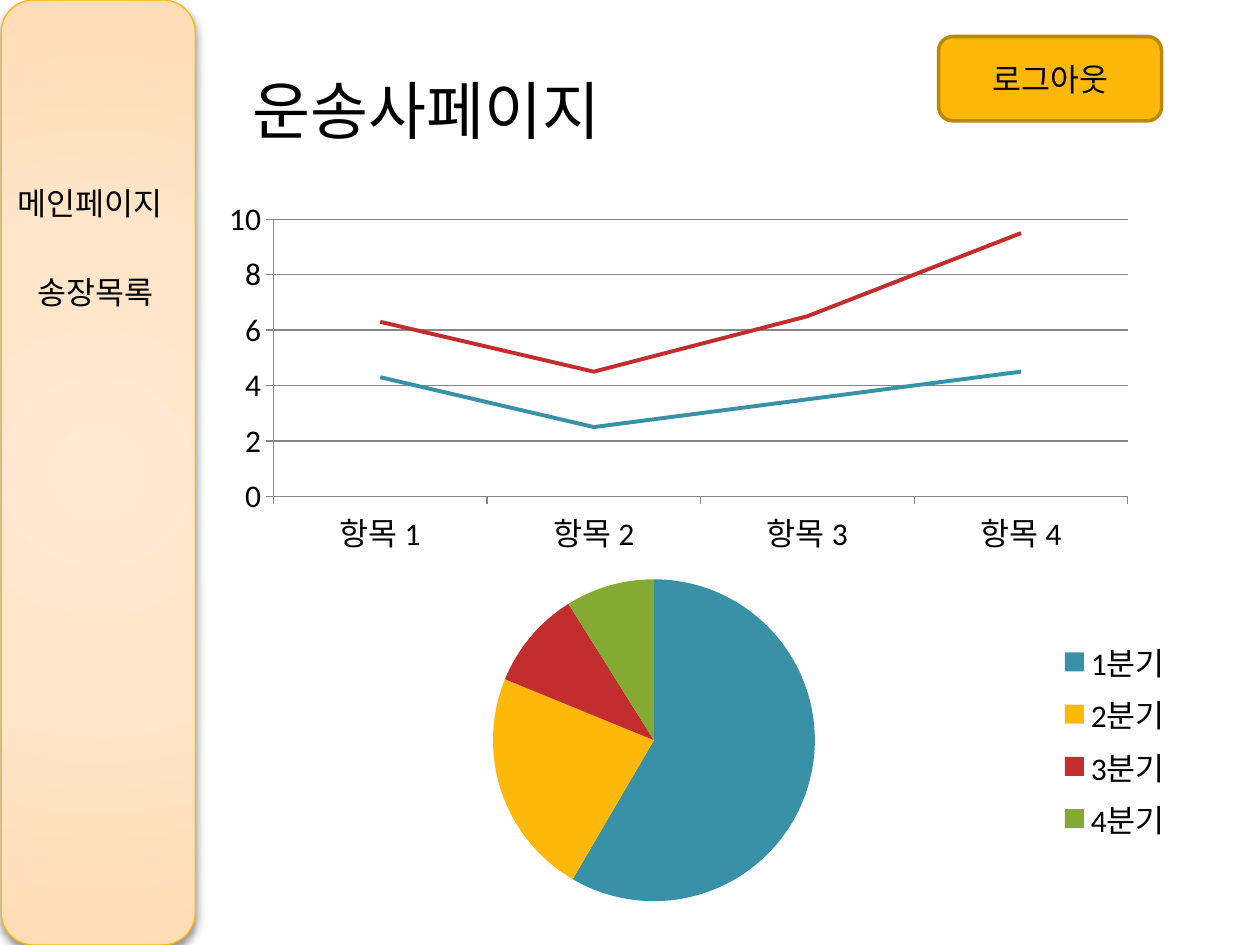
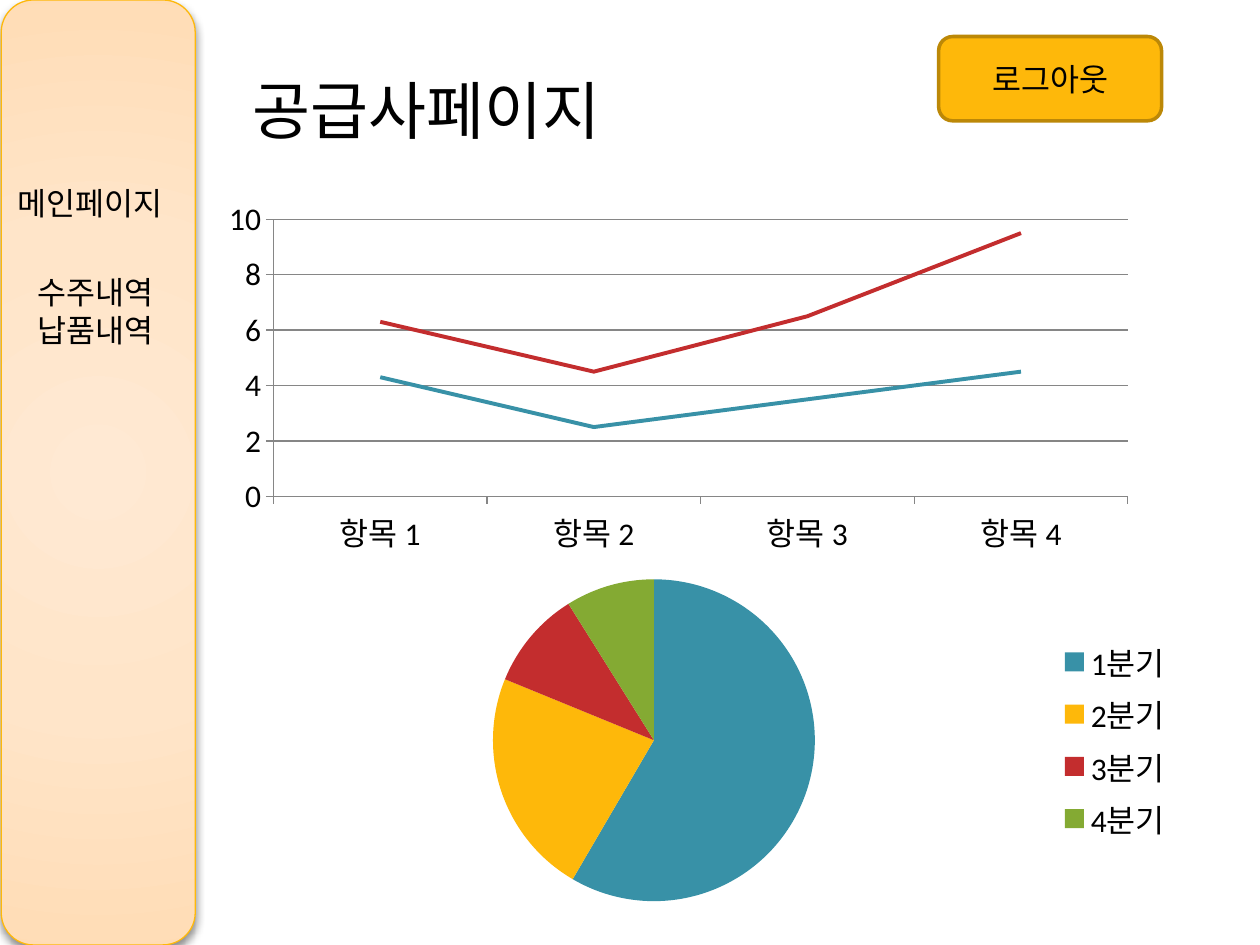
from pptx import Presentation
from pptx.chart.data import CategoryChartData
from pptx.dml.color import RGBColor
from pptx.enum.chart import XL_CHART_TYPE, XL_LEGEND_POSITION, XL_TICK_MARK
from pptx.enum.shapes import MSO_SHAPE
from pptx.enum.text import MSO_ANCHOR, PP_ALIGN
from pptx.oxml import parse_xml
from pptx.oxml.ns import nsdecls, qn
from pptx.util import Pt

ROUNDED = MSO_SHAPE.ROUNDED_RECTANGLE
LINE_STACKED, PIE = XL_CHART_TYPE.LINE_STACKED, XL_CHART_TYPE.PIE
LEGEND_RIGHT = XL_LEGEND_POSITION.RIGHT
TICK_OUTSIDE = XL_TICK_MARK.OUTSIDE
MIDDLE, CENTER = MSO_ANCHOR.MIDDLE, PP_ALIGN.CENTER

FONT = "Calibri"
BODY_SIZE, TITLE_SIZE = 18, 36
COLORS = {
    "text": "000000",
    "axis": "868686",
    "teal": "3891A7",
    "amber": "FEB80A",
    "amber_dark": "BC8807",
    "red": "C32D2E",
    "green": "84AA33",
}
SIDEBAR_STOPS = [(0, "FFE9D3"), (50, "FFE5C9"), (97, "FFDDB7"), (100, "FFDBB2")]

# Page title and the sidebar entries below the main page link
PAGES = [
    ("운송사페이지", ["송장목록"]),
    ("공급사페이지", ["수주내역", "납품내역"]),
]


def color(name):
    return RGBColor.from_string(COLORS[name])


def add_text(slide, left, top, width, height, lines, size=BODY_SIZE):
    box = slide.shapes.add_textbox(Pt(left), Pt(top), Pt(width), Pt(height))
    box.text_frame.word_wrap = True
    box.text_frame.text = "\n".join(lines)
    for paragraph in box.text_frame.paragraphs:
        font = paragraph.runs[0].font
        font.name, font.size = FONT, Pt(size)
        font.color.rgb = color("text")


# Data shown on every page
line_data = CategoryChartData()
line_data.categories = [f"항목 {number}" for number in range(1, 5)]
line_data.add_series("Series 1", (4.3, 2.5, 3.5, 4.5))
line_data.add_series("Series 2", (2, 2, 3, 5))

pie_data = CategoryChartData()
pie_data.categories = [f"{number}분기" for number in range(1, 5)]
pie_data.add_series("Series 1", (59, 23, 10, 9))

presentation = Presentation()
presentation.slide_width, presentation.slide_height = Pt(720), Pt(540)

for title, entries in PAGES:
    slide = presentation.slides.add_slide(presentation.slide_layouts[6])

    # Logout button
    button = slide.shapes.add_shape(ROUNDED, Pt(536.4), Pt(20.9), Pt(127.4), Pt(48.2))
    button.shadow.inherit = False
    button.fill.solid()
    button.fill.fore_color.rgb = color("amber")
    button.line.color.rgb = color("amber_dark")
    button.line.width = Pt(2)
    button.text_frame.text = "로그아웃"
    button.text_frame.vertical_anchor = MIDDLE
    paragraph = button.text_frame.paragraphs[0]
    paragraph.alignment = CENTER
    font = paragraph.runs[0].font
    font.name, font.size = FONT, Pt(BODY_SIZE)
    font.color.rgb = color("text")

    # Charts
    line_chart = slide.shapes.add_chart(
        LINE_STACKED, Pt(120.2), Pt(110.2), Pt(535), Pt(211), line_data).chart
    pie_chart = slide.shapes.add_chart(
        PIE, Pt(144.7), Pt(321.1), Pt(532.8), Pt(203.8), pie_data).chart
    for chart in (line_chart, pie_chart):
        chart.has_title = False
        chart.font.name, chart.font.size = FONT, Pt(BODY_SIZE)
        chart.font.color.rgb = color("text")

    # Line chart: axes, grid and series
    line_chart.has_legend = False
    value_axis = line_chart.value_axis
    value_axis.minimum_scale, value_axis.maximum_scale = 0, 10
    value_axis.major_unit = 2
    value_axis.has_major_gridlines = True
    for axis in (line_chart.category_axis, value_axis):
        axis.major_tick_mark = TICK_OUTSIDE
    for line in (line_chart.category_axis.format.line, value_axis.format.line,
                 value_axis.major_gridlines.format.line):
        line.color.rgb = color("axis")
        line.width = Pt(0.75)
    line_chart.plots[0].vary_by_categories = False
    for series, name in zip(line_chart.plots[0].series, ("teal", "red")):
        series.smooth = False
        series.format.line.color.rgb = color(name)
        series.format.line.width = Pt(2.25)

    # Pie chart: legend and slices
    pie_chart.has_legend = True
    pie_chart.legend.position = LEGEND_RIGHT
    pie_chart.legend.include_in_layout = False
    pie_chart.plots[0].vary_by_categories = True
    slices = pie_chart.plots[0].series[0].points
    for index, name in enumerate(("teal", "amber", "red", "green")):
        fill = slices[index].format.fill
        fill.solid()
        fill.fore_color.rgb = color(name)

    # Title
    add_text(slide, 137.5, 37.4, 364.3, 51.1, [title], TITLE_SIZE)

    # Sidebar with a radial gradient and a soft shadow
    sidebar = slide.shapes.add_shape(ROUNDED, Pt(0.7), Pt(0), Pt(110.9), Pt(540))
    sidebar.fill.background()
    sidebar.line.color.rgb = color("amber")
    sidebar.line.width = Pt(0.75)
    sidebar.shadow.inherit = False
    properties = sidebar.fill._xPr
    stops = "".join(
        f'<a:gs pos="{position * 1000}"><a:srgbClr val="{value}"/></a:gs>'
        for position, value in SIDEBAR_STOPS)
    properties.replace(properties.find(qn("a:noFill")), parse_xml(
        f'<a:gradFill {nsdecls("a")} rotWithShape="1"><a:gsLst>{stops}</a:gsLst>'
        '<a:path path="circle"><a:fillToRect l="50000" t="50000" r="50000" b="50000"/>'
        '</a:path></a:gradFill>'))
    properties.find(qn("a:effectLst")).append(parse_xml(
        f'<a:outerShdw {nsdecls("a")} blurRad="{Pt(5)}" dist="{Pt(2)}" dir="5400000"'
        ' rotWithShape="0"><a:srgbClr val="000000"><a:alpha val="43000"/>'
        '</a:srgbClr></a:outerShdw>'))

    # Sidebar links
    add_text(slide, 2.9, 101.5, 105.8, 28.8, ["메인페이지"])
    add_text(slide, 14.4, 152.6, 95, 51.1, entries)

presentation.save("out.pptx")
